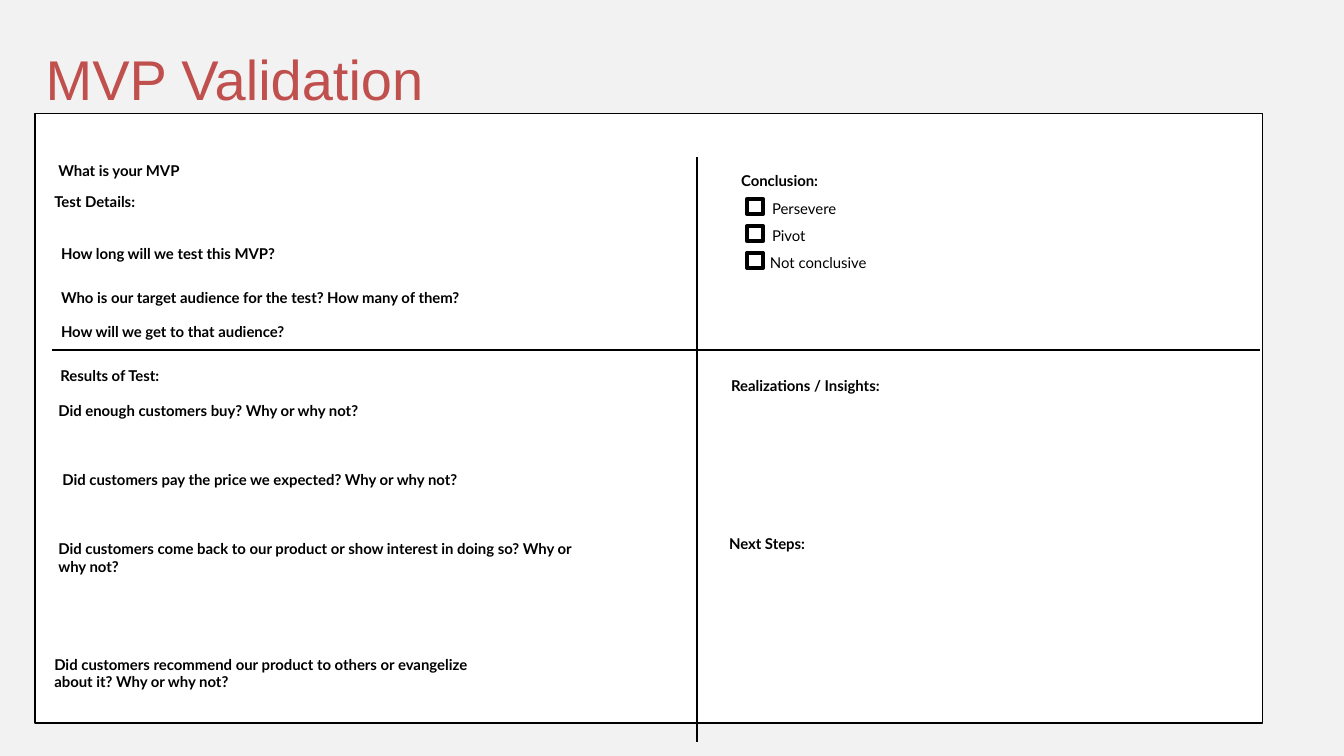
from pptx import Presentation
from pptx.dml.color import RGBColor
from pptx.enum.shapes import MSO_CONNECTOR, MSO_SHAPE
from pptx.enum.text import MSO_ANCHOR, MSO_AUTO_SIZE
from pptx.oxml.ns import qn
from pptx.util import Pt
from lxml.etree import SubElement

PX = 9144
COLORS = {"page": "F2F2F2", "panel": "FFFFFF", "ink": "000000", "title": "C0504D"}
COLORS = {name: RGBColor.from_string(value) for name, value in COLORS.items()}

deck = Presentation()
deck.slide_width, deck.slide_height = 2000 * PX, 1125 * PX
page = deck.slides.add_slide(deck.slide_layouts[6])
page.background.fill.solid()
page.background.fill.fore_color.rgb = COLORS["page"]


def add_text(text, left, top, width, height=37, size=16, font="Lato", color="ink", bold=True):
    box = page.shapes.add_textbox(left * PX, top * PX, width * PX, height * PX)
    frame = box.text_frame
    frame.word_wrap = True
    frame.auto_size = MSO_AUTO_SIZE.SHAPE_TO_FIT_TEXT
    span = frame.paragraphs[0].add_run()
    span.text = text
    span.font.size = Pt(size)
    span.font.name = font
    span.font.bold = bold
    span.font.color.rgb = COLORS[color]
    return box


def add_box(left, top, width, height, line_width, fill=None):
    box = page.shapes.add_shape(MSO_SHAPE.RECTANGLE, left * PX, top * PX, width * PX, height * PX)
    box.shadow.inherit = False
    if fill:
        box.fill.solid()
        box.fill.fore_color.rgb = COLORS[fill]
    else:
        box.fill.background()
    box.line.color.rgb = COLORS["ink"]
    box.line.width = Pt(line_width)


title = add_text("MVP Validation", 41, 36, 1650, height=138, size=60,
                 font="Arial", color="title", bold=False)
title_frame = title.text_frame
title_frame.auto_size = MSO_AUTO_SIZE.NONE
title_frame.vertical_anchor = MSO_ANCHOR.MIDDLE
title_frame.margin_left, title_frame.margin_right = 27 * PX, 15 * PX
title_frame.margin_top = title_frame.margin_bottom = 7 * PX
title_frame.paragraphs[0].line_spacing = Pt(87.5)

add_box(52, 169, 1827, 907, 1.5, fill="panel")

for x1, y1, x2, y2 in [(1037, 1104, 1037, 234), (78, 521, 1875, 521)]:
    divider = page.shapes.add_connector(MSO_CONNECTOR.STRAIGHT, x1 * PX, y1 * PX, x2 * PX, y2 * PX)
    divider.line.color.rgb = COLORS["ink"]
    divider.line.width = Pt(1.5)
    SubElement(divider.element.spPr, qn("a:effectLst"))

headings = [
    ("What is your MVP", 77, 236, 361),
    ("Test Details:", 71, 282, 361),
    ("Results of Test:", 80, 541, 361),
    ("Conclusion:", 1093, 251, 361),
    ("Realizations / Insights:", 1078, 555, 361),
    ("Next Steps:", 1075, 790, 509),
]
questions = [
    ("How long will we test this MVP?", 81, 359, 439),
    ("Who is our target audience for the test? How many of them?", 81, 424, 803),
    ("How will we get to that audience?", 81, 475, 466),
    ("Did enough customers buy? Why or why not?", 77, 593, 574),
    ("Did customers pay the price we expected? Why or why not?", 83, 695, 776),
]
long_questions = [
    ("Did customers come back to our product or show interest in doing so? Why or why not?", 77, 798, 790),
    ("Did customers recommend our product to others or evangelize about it? Why or why not?", 71, 970, 691),
]
for text, left, top, width in headings + questions:
    add_text(text, left, top, width)
for text, left, top, width in long_questions:
    add_text(text, left, top, width, height=64)

outcomes = [("Persevere", 1139, 142), ("Pivot", 1139, 88), ("Not conclusive", 1136, 209)]
for row, (text, left, width) in enumerate(outcomes):
    top = 292 + 40 * row
    add_box(1112, top + 4, 23, 23, 4.5)
    add_text(text, left, top, width, bold=False)

deck.save("out.pptx")
